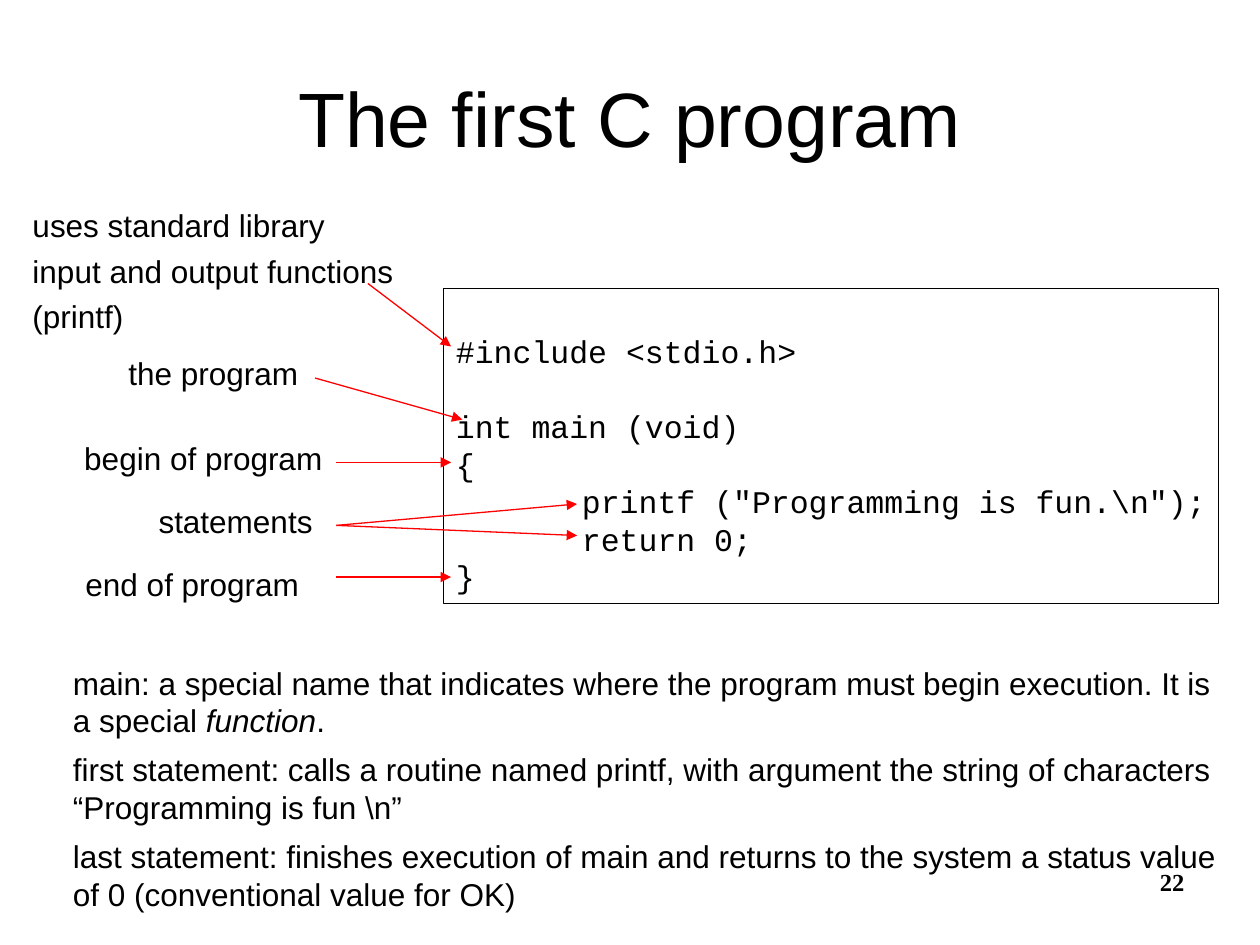
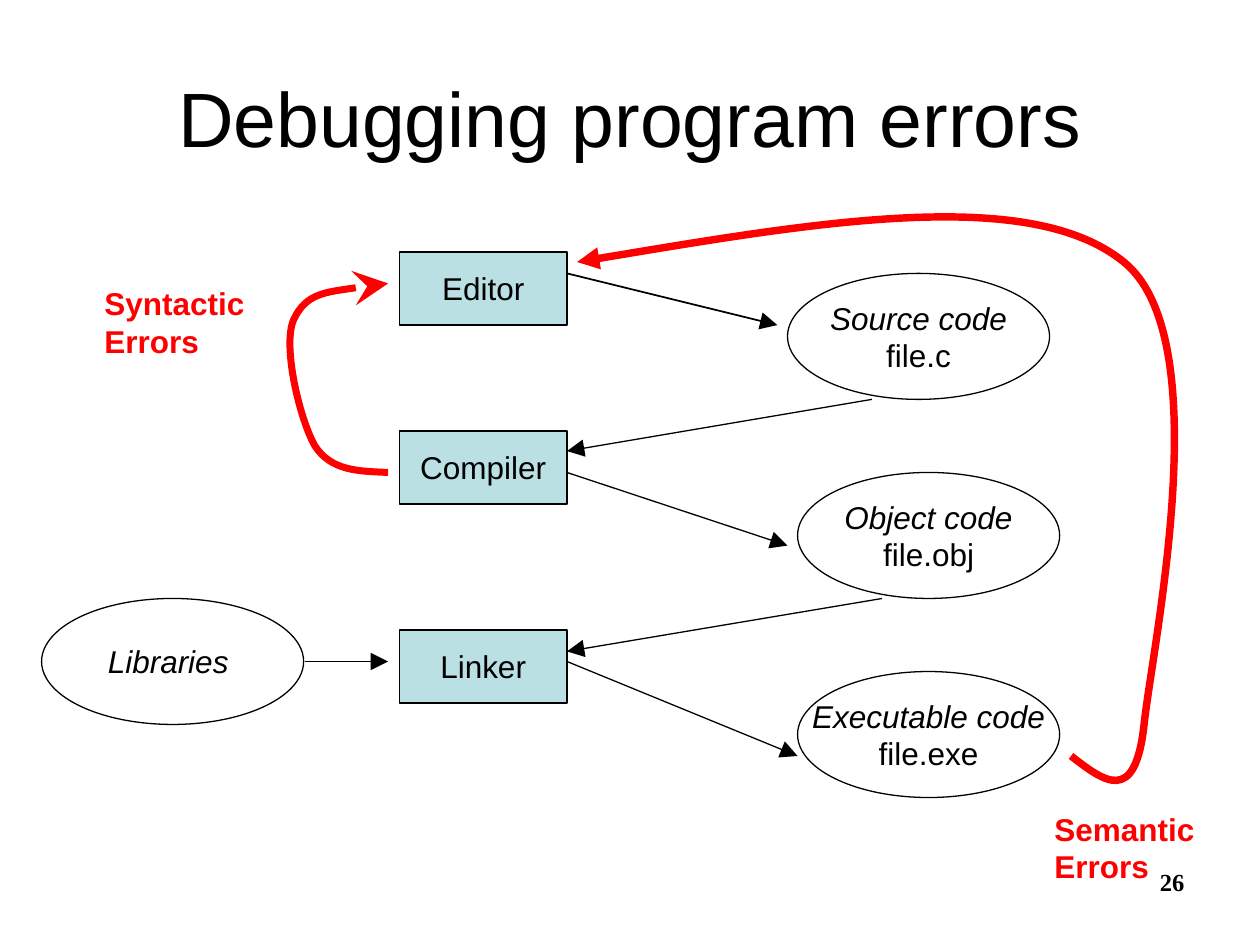
from pptx import Presentation
from pptx.dml.color import RGBColor
from pptx.enum.shapes import MSO_CONNECTOR, MSO_SHAPE
from pptx.enum.text import MSO_ANCHOR, MSO_AUTO_SIZE, PP_ALIGN
from pptx.oxml.ns import qn
from pptx.util import Inches, Pt
from lxml import etree

BLACK = RGBColor(0x00, 0x00, 0x00)
RED = RGBColor(0xFF, 0x00, 0x00)
PALE_BLUE = RGBColor(0xBB, 0xE0, 0xE3)
LEFT, CENTER, RIGHT = PP_ALIGN.LEFT, PP_ALIGN.CENTER, PP_ALIGN.RIGHT
TOP, MIDDLE = MSO_ANCHOR.TOP, MSO_ANCHOR.MIDDLE
NO_AUTOFIT = MSO_AUTO_SIZE.NONE
RECTANGLE, OVAL = MSO_SHAPE.RECTANGLE, MSO_SHAPE.OVAL
STRAIGHT = MSO_CONNECTOR.STRAIGHT
SANS, MONO, SERIF = "Arial", "Courier New", "Times New Roman"
LINE_RATIO = 1.19

CODE = [
    "#include <stdio.h>",
    "int main (void)",
    "{",
    '\tprintf ("Programming is fun.\\n");',
    "\treturn 0;",
    "}",
]
NOTES = [
    [("main: a special name that indicates where the program must begin "
      "execution. It is a special ", False), ("function", True), (".", False)],
    [("first statement: calls a routine named printf, with argument the string "
      "of characters “Programming is fun \\n”", False)],
    [("last statement: finishes execution of main and returns to the system a "
      "status value of 0 (conventional value for OK)", False)],
]
CODE_LABELS = [
    (0.76, 1.18, 1.55, ["the program"]),
    (0.41, 1.86, 2.09, ["begin of program"]),
    (1.0, 2.36, 1.42, ["statements"]),
    (0.42, 2.86, 1.89, ["end of program"]),
]
CODE_ARROWS = [
    (2.76, 0.67, 3.42, 1.17),
    (2.34, 1.42, 3.51, 1.75),
    (2.51, 2.09, 3.42, 2.09),
    (2.51, 3.0, 3.42, 3.0),
    (2.51, 2.59, 4.42, 2.42),
    (2.51, 2.59, 4.42, 2.67),
]
TOOLS = [("Editor", 0.53), ("Compiler", 1.95), ("Linker", 3.53)]
FILES = [
    (5.92, 0.7, "Source code", "file.c"),
    (6.0, 2.28, "Object code", "file.obj"),
    (6.0, 3.86, "Executable code", "file.exe"),
]
FLOW_ARROWS = [
    (4.17, 0.7, 5.84, 1.11, 1),
    (4.17, 2.28, 5.92, 2.86, 0.75),
    (4.17, 3.78, 6.0, 4.53, 0.75),
    (6.59, 1.7, 4.17, 2.11, 0.75),
    (6.67, 3.28, 4.17, 3.7, 0.75),
    (2.09, 3.78, 2.75, 3.78, 1),
]
SYNTACTIC_LOOP = [
    (2.75, 2.28), (2.52, 2.27), (2.3, 2.27), (2.17, 2.07), (2.05, 1.86),
    (1.91, 1.28), (2.0, 1.07), (2.1, 0.85), (2.43, 0.82), (2.75, 0.78),
]
SEMANTIC_LOOP = [
    (8.17, 4.53), (8.43, 4.73), (8.68, 4.93), (8.75, 4.28), (8.82, 3.63),
    (9.34, 1.22), (8.59, 0.61), (7.84, 0.0), (6.05, 0.31), (4.25, 0.61),
]


def write(tf, lines, size=18, font=SANS, color=BLACK, bold=False, align=LEFT,
          anchor=TOP, wrap=False, before=0, after=0, tab=None):
    """Fill a text frame with lines, each a string or (text, italic) runs."""
    tf.auto_size = NO_AUTOFIT
    tf.word_wrap = wrap
    tf.vertical_anchor = anchor
    for i, line in enumerate(lines):
        p = tf.paragraphs[0] if i == 0 else tf.add_paragraph()
        p.alignment = align
        p.line_spacing = Pt(round(size * LINE_RATIO, 1))
        p.space_before = Pt(before if i else 0)
        p.space_after = Pt(after)
        if tab:
            stops = etree.SubElement(p.line_spacing and p._p.get_or_add_pPr(),
                                     qn("a:tabLst"))
            etree.SubElement(stops, qn("a:tab"), pos=str(Inches(tab)), algn="l")
        for text, italic in [(line, False)] if isinstance(line, str) else line:
            r = p.add_run()
            r.text = text
            r.font.name = font
            r.font.size = Pt(size)
            r.font.bold = bold
            r.font.italic = italic
            r.font.color.rgb = color


def add_text(s, x, y, w, h, lines, **style):
    """Add a text box."""
    box = s.shapes.add_textbox(Inches(x), Inches(y), Inches(w), Inches(h))
    write(box.text_frame, lines, **style)


def add_block(s, kind, x, y, w, h, lines, fill=None, **style):
    """Add a black-outlined shape holding text."""
    sp = s.shapes.add_shape(kind, Inches(x), Inches(y), Inches(w), Inches(h))
    sp.shadow.inherit = False
    if fill is None:
        sp.fill.background()
    else:
        sp.fill.solid()
        sp.fill.fore_color.rgb = fill
    sp.line.color.rgb = BLACK
    sp.line.width = Pt(0.75)
    write(sp.text_frame, lines, **style)
    return sp


def style_arrow(sp, color, width, head="triangle", size="med"):
    """Colour a line and give its end an arrowhead."""
    sp.line.color.rgb = color
    sp.line.width = Pt(width)
    ln = sp.element.spPr.find(qn("a:ln"))
    etree.SubElement(ln, qn("a:tailEnd"), type=head, w=size, len=size)


def add_arrow(s, x1, y1, x2, y2, color, width, size="med"):
    """Add a straight arrow."""
    c = s.shapes.add_connector(STRAIGHT, Inches(x1), Inches(y1),
                               Inches(x2), Inches(y2))
    style_arrow(c, color, width, size=size)
    etree.SubElement(c.element.spPr, qn("a:effectLst"))


def add_curve(s, x, y, points, width, head, size):
    """Add a red arrow along cubic curves through the given control points."""
    pts = [(Inches(x + px), Inches(y + py)) for px, py in points]
    fb = s.shapes.build_freeform(*pts[0])
    fb.add_line_segments(pts[1:], close=False)
    sp = fb.convert_to_shape()
    sp.shadow.inherit = False
    sp.fill.background()
    steps = list(sp.element.iter(qn("a:lnTo")))
    for i in range(0, len(steps), 3):
        curve = etree.Element(qn("a:cubicBezTo"))
        steps[i].addprevious(curve)
        for step in steps[i:i + 3]:
            curve.append(step[0])
            step.getparent().remove(step)
    style_arrow(sp, RED, width, head, size)


def add_titled_slide(prs, title, number):
    """Add a slide with its title and page number."""
    s = prs.slides.add_slide(prs.slide_layouts[5])
    sp = s.shapes.title
    sp.left, sp.top = Inches(0.5), Inches(0.3)
    sp.width, sp.height = Inches(9), Inches(1.25)
    write(sp.text_frame, [title], size=44, align=CENTER, anchor=MIDDLE, wrap=True)
    add_text(s, 7.17, 6.83, 2.33, 0.52, [number], size=14, font=SERIF,
             bold=True, align=RIGHT, wrap=True)
    return s


def add_annotated_code(s, x, y):
    """Add the program listing with its labels and arrows."""
    sp = add_block(s, RECTANGLE, x + 3.36, y + 0.71, 6.15, 2.5, CODE,
                   font=MONO, tab=1)
    tf = sp.text_frame
    tf.margin_top = Inches(0.35)
    tf.paragraphs[1].space_before = Pt(21.4)
    add_text(s, x, y + 0.01, 3.13, 1.43,
             ["uses standard library", "input and output functions", "(printf)"],
             before=4.5)
    for dx, dy, w, lines in CODE_LABELS:
        add_text(s, x + dx, y + dy, w, 0.4, lines)
    for x1, y1, x2, y2 in CODE_ARROWS:
        add_arrow(s, x + x1, y + y1, x + x2, y + y2, RED, 0.75)


def add_build_flow(s, x, y):
    """Add the tools, the files between them and the two error loops."""
    centred = {"align": CENTER, "anchor": MIDDLE}
    for name, dy in TOOLS:
        add_block(s, RECTANGLE, x + 2.84, y + dy, 1.33, 0.58, [name],
                  PALE_BLUE, **centred)
    for dx, dy, kind, name in FILES:
        add_block(s, OVAL, x + dx, y + dy, 2.08, 1, [[(kind, True)], name],
                  **centred)
    add_block(s, OVAL, x, y + 3.28, 2.08, 1, [[("Libraries ", True)]], **centred)
    for x1, y1, x2, y2, width in FLOW_ARROWS:
        add_arrow(s, x + x1, y + y1, x + x2, y + y2, BLACK, width, "lg")
    add_curve(s, x, y, SYNTACTIC_LOOP, 4, "stealth", "lg")
    add_curve(s, x, y, SEMANTIC_LOOP, 4.25, "triangle", "med")
    for dx, dy, kind in [(0.4, 0.74, "Syntactic"), (7.94, 4.91, "Semantic")]:
        add_text(s, x + dx, y + dy, 1.31, 0.7, [kind, "Errors"],
                 color=RED, bold=True)


def main():
    """Build both slides and save them."""
    prs = Presentation()
    prs.slide_width, prs.slide_height = Inches(10), Inches(7.5)
    s = add_titled_slide(prs, "The first C program", "22")
    add_annotated_code(s, 0.16, 1.58)
    add_text(s, 0.48, 5.22, 9.35, 2.09, NOTES, wrap=True, after=6.8)
    s = add_titled_slide(prs, "Debugging program errors", "26")
    add_build_flow(s, 0.33, 1.47)
    prs.save("out.pptx")


if __name__ == "__main__":
    main()
